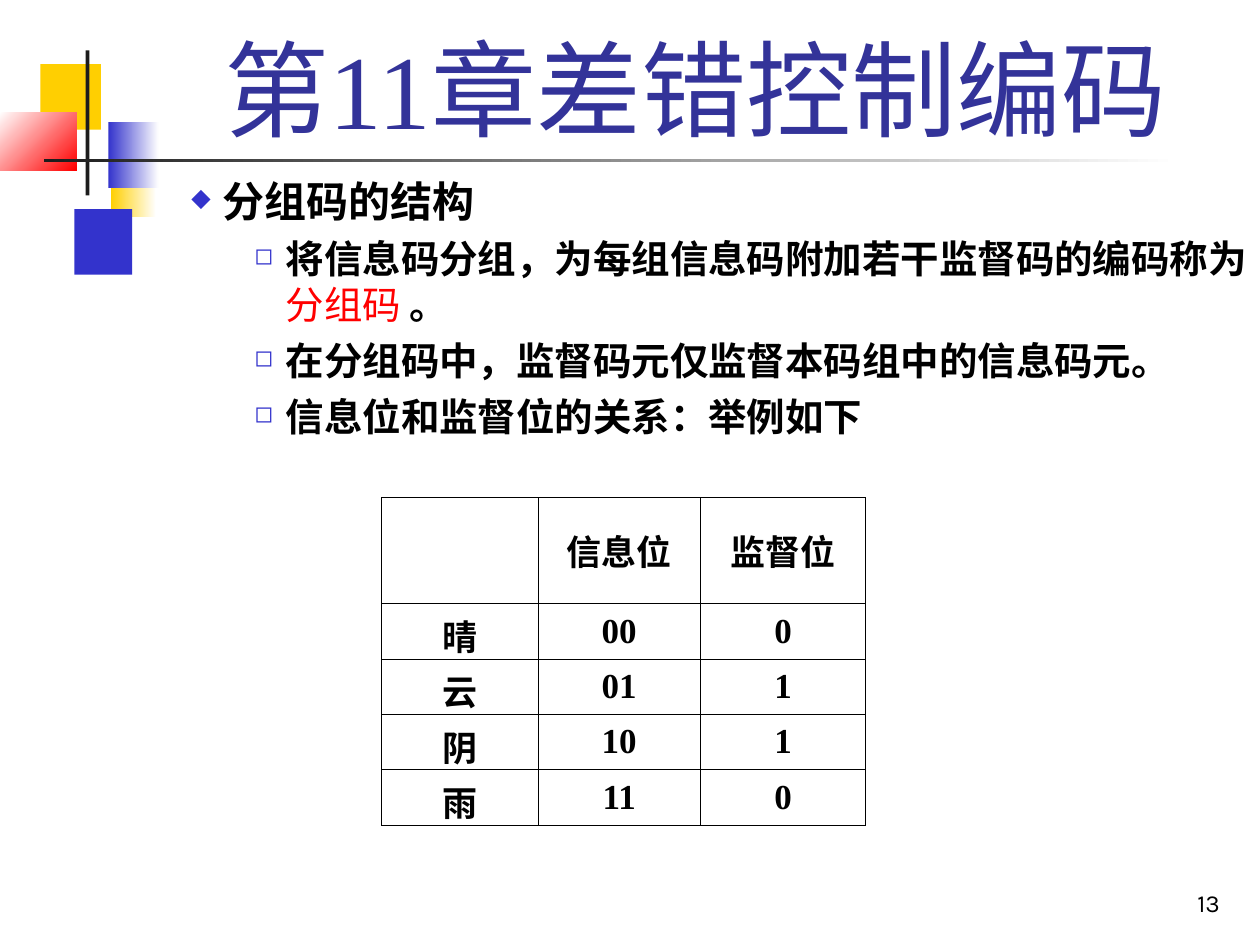
"""Build the slide on the structure of block codes in error control coding."""
import lxml.etree
import pptx
import pptx.dml.color
import pptx.enum.shapes
import pptx.enum.text
import pptx.oxml.ns
import pptx.util

RGB = pptx.dml.color.RGBColor
BLACK = RGB(0x00, 0x00, 0x00)
WHITE = RGB(0xFF, 0xFF, 0xFF)
CHARCOAL = RGB(0x1C, 0x1C, 0x1C)
YELLOW = RGB(0xFF, 0xCF, 0x01)
BLUE = RGB(0x33, 0x33, 0xCC)
NAVY = RGB(0x33, 0x33, 0x99)
RED = RGB(0xFF, 0x00, 0x00)

ALIGN = pptx.enum.text.PP_ALIGN
ANCHOR = pptx.enum.text.MSO_ANCHOR
SERIF = "Times New Roman"
qn = pptx.oxml.ns.qn

deck = pptx.Presentation()
deck.slide_width = pptx.util.Inches(10)
deck.slide_height = pptx.util.Inches(7.5)
page = deck.slides.add_slide(deck.slide_layouts[6])
COLUMN = deck.slide_width / 100
ROW = deck.slide_height / 75


def grid(left, top, width, height):
    return [round(left * COLUMN), round(top * ROW), round(width * COLUMN), round(height * ROW)]


def write(para, text, size=20, color=BLACK, bold=False, font=SERIF, align=None):
    span = para.add_run()
    span.text = text
    span.font.size = pptx.util.Pt(size)
    span.font.name = font
    span.font.bold = bold
    span.font.color.rgb = color
    if align is not None:
        para.alignment = align


ornaments = [
    ((8.8, 12, 3.6, 5.2), (YELLOW, WHITE), 0),
    ((5.9, 16.6, 4.6, 5.2), (BLUE,), 0),
    ((3.2, 5.1, 4.8, 5.2), (YELLOW,), 0),
    ((8.6, 9.7, 4, 5.2), (BLUE, WHITE), 0),
    ((0, 8.9, 6.1, 4.6), (WHITE, RED), 315),
    ((6.8, 4, 0.3, 11.5), (CHARCOAL,), 0),
    ((3.5, 12.6, 90, 0.3), (CHARCOAL, WHITE), 0),
]
for place, colors, angle in ornaments:
    block = page.shapes.add_shape(pptx.enum.shapes.MSO_SHAPE.RECTANGLE, *grid(*place))
    block.shadow.inherit = False
    block.line.fill.background()
    if len(colors) == 1:
        block.fill.solid()
        block.fill.fore_color.rgb = colors[0]
    else:
        block.fill.gradient()
        block.fill.gradient_angle = angle
        for stop, color, position in zip(block.fill.gradient_stops, colors, (0, 1)):
            stop.color.rgb = color
            stop.position = position

labels = [
    ((77, 68.3, 20.8, 5), "13", dict(size=14, font="Karla", align=ALIGN.RIGHT)),
    ((12.6, 2.3, 85.2, 10.1), "第11章差错控制编码", dict(size=60, color=NAVY, align=ALIGN.CENTER)),
]
for place, text, style in labels:
    box = page.shapes.add_textbox(*grid(*place))
    box.text_frame.word_wrap = True
    box.text_frame.vertical_anchor = ANCHOR.BOTTOM
    write(box.text_frame.paragraphs[0], text, **style)

point = dict(size=22, bold=True)
bullets = [
    (2, "◆", 12.5, 0, [("分组码的结构", dict(size=24, bold=True))]),
    (3, "◻", 17.5, 5.5, [
        ("将信息码分组，为每组信息码附加若干监督码的编码称为", point),
        ("分组码", dict(size=22, color=RED)),
        (" 。", point),
    ]),
    (3, "◻", 17.5, 5.5, [("在分组码中，监督码元仅监督本码组中的信息码元。", point)]),
    (3, "◻", 17.5, 5.5, [("信息位和监督位的关系：举例如下", point)]),
]
body = page.shapes.add_textbox(*grid(4.2, 13.4, 95.8, 61.6)).text_frame
body.word_wrap = True
for index, (level, mark, margin, space, spans) in enumerate(bullets):
    para = body.add_paragraph() if index else body.paragraphs[0]
    para.level = level
    props = para._p.get_or_add_pPr()
    props.set("marL", str(round(margin * COLUMN)))
    props.set("indent", str(round(-2.5 * COLUMN)))
    tint = lxml.etree.SubElement(props, qn("a:buClr"))
    lxml.etree.SubElement(tint, qn("a:srgbClr"), val=str(BLUE))
    lxml.etree.SubElement(props, qn("a:buSzPct"), val="60000")
    lxml.etree.SubElement(props, qn("a:buChar"), char=mark)
    para.space_before = pptx.util.Pt(space)
    for text, style in spans:
        write(para, text, **style)

records = [
    ("", "信息位", "监督位"),
    ("晴", "00", "0"),
    ("云", "01", "1"),
    ("阴", "10", "1"),
    ("雨", "11", "0"),
]
widths = (12.4, 12.9, 13.1)
heights = (8.4, 4.4, 4.4, 4.4, 4.4)
table = page.shapes.add_table(
    len(records), len(widths), *grid(30.3, 39.5, sum(widths), sum(heights))
).table
table.first_row = False
table.horz_banding = False
for column, width in zip(table.columns, widths):
    column.width = round(width * COLUMN)
for row, height, record in zip(table.rows, heights, records):
    row.height = round(height * ROW)
    for cell, text in zip(row.cells, record):
        cell.vertical_anchor = ANCHOR.MIDDLE
        props = cell._tc.get_or_add_tcPr()
        for side in ("a:lnL", "a:lnR", "a:lnT", "a:lnB"):
            border = lxml.etree.SubElement(props, qn(side), w=str(pptx.util.Pt(0.45)))
            paint = lxml.etree.SubElement(border, qn("a:solidFill"))
            lxml.etree.SubElement(paint, qn("a:srgbClr"), val=str(BLACK))
        cell.fill.background()
        if text:
            write(cell.text_frame.paragraphs[0], text, bold=True, align=ALIGN.CENTER)

deck.save("out.pptx")
